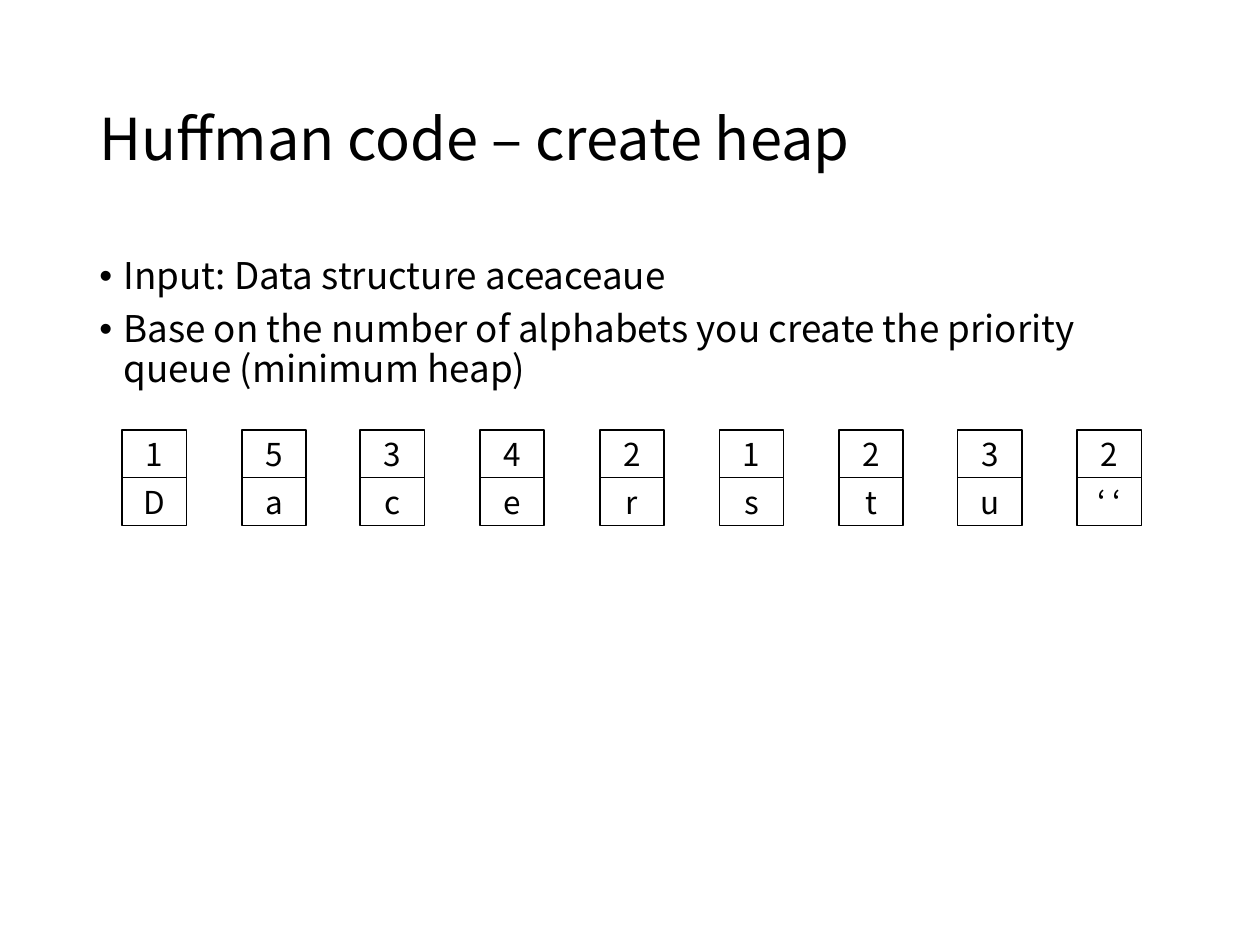
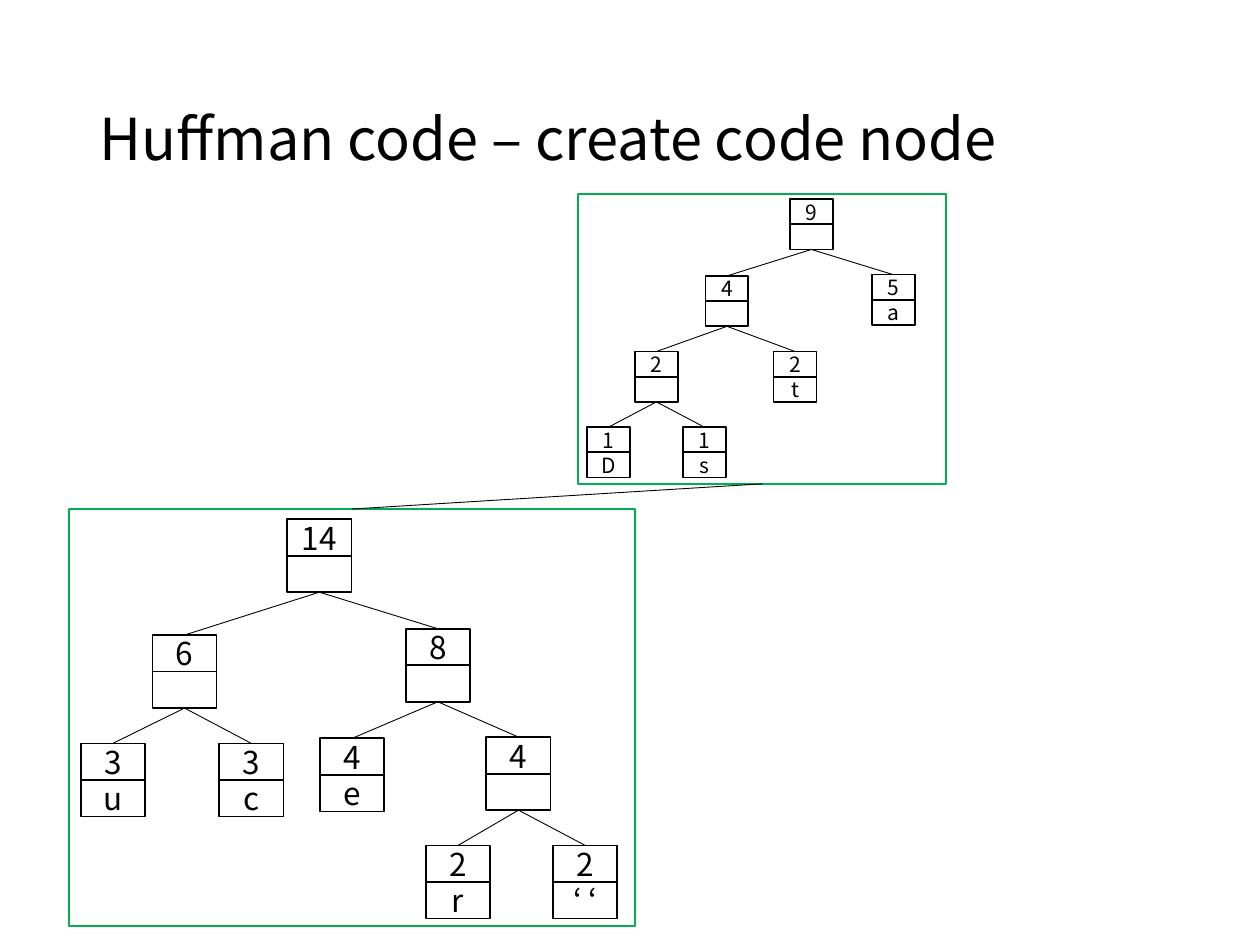
from dataclasses import dataclass

import pptx
import pptx.dml.color
import pptx.enum.shapes
import pptx.enum.text
import pptx.util
from lxml import etree
from pptx.oxml.ns import qn

EMU_PER_PX = 9144  # 100 px to the inch
FONT, BULLET_FONT = "Noto Sans CJK KR", "Arial"
BLACK, WHITE, GREEN = "000000", "FFFFFF", "00B050"
TOP, BOTTOM = 0, 2
ANCHOR_MIDDLE = pptx.enum.text.MSO_ANCHOR.MIDDLE
BLANK_LAYOUT = 6


@dataclass(frozen=True)
class CellStyle:
    width: int
    height: int
    font_size: int


@dataclass(frozen=True)
class Node:
    count: int
    letter: str
    left: int
    top: int
    children: tuple["Node", ...] = ()


@dataclass(frozen=True)
class Tree:
    frame: tuple[int, int, int, int]
    cell: CellStyle
    root: Node


HEAP_CELL = CellStyle(51, 38, 18)
SMALL_CELL = CellStyle(34, 20, 12)
LARGE_CELL = CellStyle(51, 29, 18)

LETTER_COUNTS = [(1, "D"), (5, "a"), (3, "c"), (4, "e"), (2, "r"),
                 (1, "s"), (2, "t"), (3, "u"), (2, "‘ ‘")]

UPPER_TREE = Tree((459, 154, 292, 230), SMALL_CELL, Node(9, "", 627, 158, (
    Node(4, "", 560, 219, (
        Node(2, "", 504, 279, (
            Node(1, "D", 466, 339),
            Node(1, "s", 542, 339))),
        Node(2, "t", 614, 279))),
    Node(5, "a", 692, 218))))

LOWER_TREE = Tree((55, 404, 449, 331), LARGE_CELL, Node(14, "", 228, 412, (
    Node(6, "", 121, 504, (
        Node(3, "u", 64, 590),
        Node(3, "c", 174, 590))),
    Node(8, "", 322, 499, (
        Node(4, "e", 254, 586),
        Node(4, "", 386, 585, (
            Node(2, "r", 338, 671),
            Node(2, "‘ ‘", 439, 671))))))))


def px(length: int) -> pptx.util.Emu:
    return pptx.util.Emu(length * EMU_PER_PX)


def rgb(color: str) -> pptx.dml.color.RGBColor:
    return pptx.dml.color.RGBColor.from_string(color)


def style_runs(p, size: int) -> None:
    for r in p.runs:
        r.font.name = FONT
        r.font.size = pptx.util.Pt(size)
        r.font.color.rgb = rgb(BLACK)


def add_text(s, left: int, top: int, width: int, height: int):
    tf = s.shapes.add_textbox(px(left), px(top), px(width), px(height)).text_frame
    tf.word_wrap = True
    return tf


def add_slide(prs, title: str):
    s = prs.slides.add_slide(prs.slide_layouts[BLANK_LAYOUT])
    tf = add_text(s, 69, 40, 862, 145)
    tf.vertical_anchor = ANCHOR_MIDDLE
    tf.text = title
    p = tf.paragraphs[0]
    p.line_spacing = 0.9
    style_runs(p, 33)
    return s


def add_bullets(s, lines: list[str]) -> None:
    tf = add_text(s, 69, 200, 862, 476)
    tf.text = "\n".join(lines)
    for i, p in enumerate(tf.paragraphs):
        p.line_spacing = 0.9
        p.space_before = pptx.util.Pt(7.5 if i else 0)
        pPr = p._p.get_or_add_pPr()
        pPr.set("marL", str(px(19)))
        pPr.set("indent", str(px(-19)))
        etree.SubElement(pPr, qn("a:buFont"), typeface=BULLET_FONT)
        etree.SubElement(pPr, qn("a:buChar"), char="•")
        style_runs(p, 21)


def add_box(shapes, left: int, top: int, width: int, height: int, line: str):
    """Add an unfilled rectangle with a 1 pt outline."""
    sp = shapes.add_shape(pptx.enum.shapes.MSO_SHAPE.RECTANGLE,
                          px(left), px(top), px(width), px(height))
    sp.shadow.inherit = False
    sp.fill.background()
    sp.line.color.rgb = rgb(line)
    sp.line.width = pptx.util.Pt(1)
    return sp


def add_cell(shapes, text: str, left: int, top: int, cell: CellStyle):
    sp = add_box(shapes, left, top, cell.width, cell.height, BLACK)
    sp.fill.solid()
    sp.fill.fore_color.rgb = rgb(WHITE)
    if text:
        tf = sp.text_frame
        tf.margin_left = tf.margin_right = tf.margin_top = tf.margin_bottom = 0
        tf.vertical_anchor = ANCHOR_MIDDLE
        tf.text = text
        p = tf.paragraphs[0]
        p.alignment = pptx.enum.text.PP_ALIGN.CENTER
        style_runs(p, cell.font_size)
    return sp


def add_node(shapes, node: Node, cell: CellStyle):
    """Stack the count above the letter and return both cells."""
    return (add_cell(shapes, str(node.count), node.left, node.top, cell),
            add_cell(shapes, node.letter, node.left, node.top + cell.height, cell))


def add_link(shapes, upper, lower) -> None:
    """Join the bottom of one rectangle to the top of another."""
    cxn = shapes.add_connector(pptx.enum.shapes.MSO_CONNECTOR.STRAIGHT,
                               upper.left, upper.top, lower.left, lower.top)
    cxn.begin_connect(upper, BOTTOM)
    cxn.end_connect(lower, TOP)
    cxn.line.color.rgb = rgb(BLACK)
    cxn.line.width = pptx.util.Pt(0.5)
    etree.SubElement(cxn._element.spPr, qn("a:effectLst"))


def add_branch(shapes, node: Node, cell: CellStyle):
    """Draw a node with its descendants and return its count cell."""
    count_cell, letter_cell = add_node(shapes, node, cell)
    for child in node.children:
        add_link(shapes, letter_cell, add_branch(shapes, child, cell))
    return count_cell


def add_tree(s, tree: Tree):
    """Draw a framed tree as one group and return its frame."""
    shapes = s.shapes.add_group_shape().shapes
    frame = add_box(shapes, *tree.frame, GREEN)
    add_branch(shapes, tree.root, tree.cell)
    return frame


def build_heap_slide(prs) -> None:
    s = add_slide(prs, "Huffman code – create heap")
    add_bullets(s, [
        "Input: Data structure aceaceaue",
        "Base on the number of alphabets you create the priority queue (minimum heap)",
    ])
    first_left, last_left = 97, 855
    pitch = (last_left - first_left) / (len(LETTER_COUNTS) - 1)
    for i, (count, letter) in enumerate(LETTER_COUNTS):
        node = Node(count, letter, round(first_left + i * pitch), 341)
        add_node(s.shapes.add_group_shape().shapes, node, HEAP_CELL)


def build_tree_slide(prs) -> None:
    s = add_slide(prs, "Huffman code – create code node")
    upper_frame = add_tree(s, UPPER_TREE)
    lower_frame = add_tree(s, LOWER_TREE)
    add_link(s.shapes, upper_frame, lower_frame)


def main() -> None:
    prs = pptx.Presentation()
    prs.slide_width, prs.slide_height = px(1000), px(750)
    build_heap_slide(prs)
    build_tree_slide(prs)
    prs.save("out.pptx")


if __name__ == "__main__":
    main()
